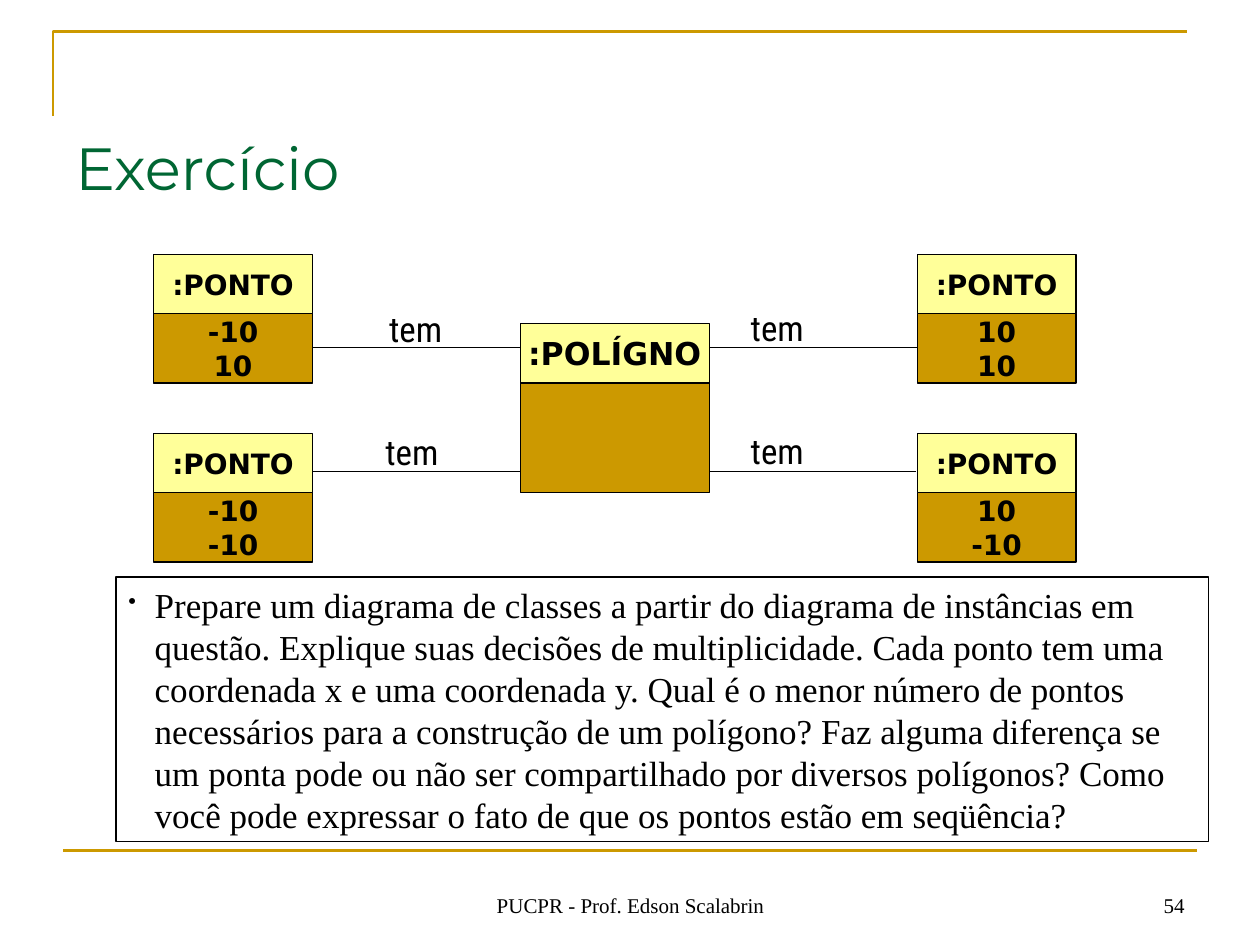
from dataclasses import dataclass

import pptx
import pptx.dml.color
import pptx.enum.shapes
import pptx.enum.text
import pptx.oxml.ns
import pptx.util
from lxml import etree

Inches = pptx.util.Inches
Pt = pptx.util.Pt
Align = pptx.enum.text.PP_ALIGN
Anchor = pptx.enum.text.MSO_ANCHOR
qn = pptx.oxml.ns.qn

COLORS = {"gold": "CC9900", "yellow": "FFFF99", "green": "006633", "black": "000000"}
SERIF, SANS, LABEL, TITLE = "Times New Roman", "DejaVu Sans", "Roboto Condensed", "Montserrat"
HEADER_HEIGHT = 0.47
QUESTION = (
    "Prepare um diagrama de classes a partir do diagrama de instâncias em questão. "
    "Explique suas decisões de multiplicidade. Cada ponto tem uma coordenada x e uma "
    "coordenada y. Qual é o menor número de pontos necessários para a construção de um "
    "polígono? Faz alguma diferença se um ponta pode ou não ser compartilhado por diversos "
    "polígonos? Como você pode expressar o fato de que os pontos estão em seqüência?"
)


@dataclass
class Instance:
    name: str
    values: str
    left: float
    top: float
    width: float = 1.26
    body_height: float = 0.55
    size: int = 16


@dataclass
class Link:
    start: float
    end: float
    y: float
    label_left: float
    label_top: float


INSTANCES = [
    Instance(":PONTO", "-10\n10", 1.22, 2.02),
    Instance(":PONTO", "10\n10", 7.28, 2.02),
    Instance(":PONTO", "10\n-10", 7.28, 3.44),
    Instance(":PONTO", "-10\n-10", 1.22, 3.44),
    Instance(":POLÍGNO", "", 4.13, 2.57, 1.5, 0.87, 18),
]
LINKS = [
    Link(2.48, 4.54, 2.76, 2.99, 2.39),
    Link(7.28, 5.1, 2.76, 5.86, 2.38),
    Link(7.27, 5, 3.74, 5.86, 3.36),
    Link(2.48, 4.58, 3.74, 2.96, 3.37),
]


def rgb(color: str) -> pptx.dml.color.RGBColor:
    return pptx.dml.color.RGBColor.from_string(COLORS[color])


def write(shape, text: str, font: str, size: int, color: str = "black", bold: bool = False,
          align=Align.LEFT, anchor=Anchor.TOP, wrap: bool = True):
    """Fill a shape with one formatted paragraph and return that paragraph."""
    frame = shape.text_frame
    frame.word_wrap = wrap
    frame.vertical_anchor = anchor
    paragraph = frame.paragraphs[0]
    paragraph.text = text
    paragraph.alignment = align
    for run in paragraph.runs:
        run.font.name = font
        run.font.size = Pt(size)
        run.font.bold = bold
        run.font.color.rgb = rgb(color)
    return paragraph


def add_text(slide, left: float, top: float, width: float, height: float, text: str,
             font: str, size: int, **options) -> None:
    box = slide.shapes.add_textbox(Inches(left), Inches(top), Inches(width), Inches(height))
    write(box, text, font, size, **options)


def outline(shape, color: str, width: float) -> None:
    shape.line.color.rgb = rgb(color)
    shape.line.width = Pt(width)


def add_box(slide, left: float, top: float, width: float, height: float, fill: str = ""):
    box = slide.shapes.add_shape(
        pptx.enum.shapes.MSO_SHAPE.RECTANGLE,
        Inches(left), Inches(top), Inches(width), Inches(height))
    box.shadow.inherit = False
    if fill:
        box.fill.solid()
        box.fill.fore_color.rgb = rgb(fill)
    else:
        box.fill.background()
    outline(box, "black", 0.75)
    return box


def add_line(slide, start: float, end: float, y: float, color: str, width: float) -> None:
    line = slide.shapes.add_connector(
        pptx.enum.shapes.MSO_CONNECTOR.STRAIGHT,
        Inches(start), Inches(y), Inches(end), Inches(y))
    outline(line, color, width)
    etree.SubElement(line._element.spPr, qn("a:effectLst"))


def add_instance(slide, instance: Instance) -> None:
    body = add_box(slide, instance.left, instance.top + HEADER_HEIGHT,
                   instance.width, instance.body_height, "gold")
    header = add_box(slide, instance.left, instance.top, instance.width, HEADER_HEIGHT, "yellow")
    for part, text in ((body, instance.values), (header, instance.name)):
        if text:
            write(part, text, SANS, instance.size, bold=True, align=Align.CENTER,
                  anchor=Anchor.MIDDLE, wrap=False)


def add_bullet(paragraph) -> None:
    properties = paragraph._p.get_or_add_pPr()
    properties.set("marL", str(Inches(0.21)))
    properties.set("indent", str(-Inches(0.21)))
    bullet_color = etree.SubElement(properties, qn("a:buClr"))
    etree.SubElement(bullet_color, qn("a:srgbClr"), val=COLORS["black"])
    etree.SubElement(properties, qn("a:buSzPct"), val="65000")
    etree.SubElement(properties, qn("a:buChar"), char="•")


def main() -> None:
    presentation = pptx.Presentation()
    presentation.slide_width = Inches(10)
    presentation.slide_height = Inches(7.5)
    slide = presentation.slides.add_slide(presentation.slide_layouts[6])

    # Frame lines
    builder = slide.shapes.build_freeform(Inches(0.42), Inches(0.92))
    builder.add_line_segments(
        [(Inches(0.42), Inches(0.25)), (Inches(9.42), Inches(0.25))], close=False)
    corner = builder.convert_to_shape()
    corner.shadow.inherit = False
    corner.fill.background()
    outline(corner, "gold", 1.5)
    add_line(slide, 0.5, 9.5, 6.75, "gold", 1.5)

    # Footer and slide number
    add_text(slide, 3.42, 6.83, 3.17, 0.5, "PUCPR - Prof. Edson Scalabrin", SERIF, 12,
             align=Align.CENTER, anchor=Anchor.BOTTOM)
    add_text(slide, 7.17, 6.83, 2.33, 0.5, "54", SERIF, 12,
             align=Align.RIGHT, anchor=Anchor.BOTTOM)

    # Title
    add_text(slide, 0.5, 0.99, 9, 0.56, "Exercício", TITLE, 34, color="green")

    # Question
    question = add_box(slide, 0.92, 4.58, 8.67, 2.1)
    add_bullet(write(question, QUESTION, SERIF, 20))

    # Object diagram: links lie behind the instances
    for link in LINKS:
        add_line(slide, link.start, link.end, link.y, "black", 0.75)
    for link in LINKS:
        add_text(slide, link.label_left, link.label_top, 0.72, 0.44, "tem", LABEL, 20, wrap=False)
    for instance in INSTANCES:
        add_instance(slide, instance)

    presentation.save("out.pptx")


if __name__ == "__main__":
    main()
